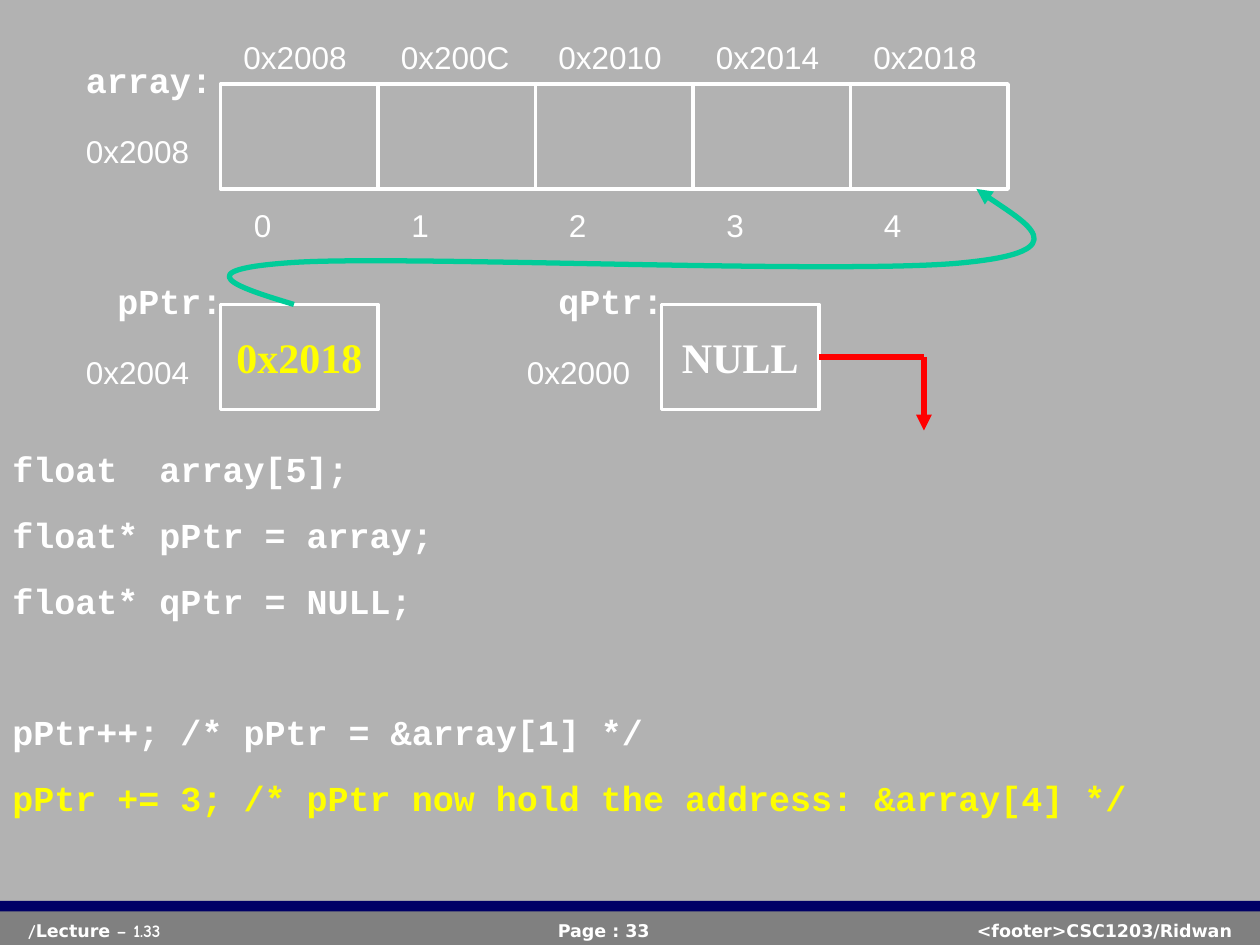
from dataclasses import dataclass
from lxml.etree import SubElement
from pptx import Presentation
from pptx.dml.color import RGBColor as RGB
from pptx.enum.shapes import MSO_CONNECTOR as CONN, MSO_SHAPE as SHAPE
from pptx.enum.text import MSO_ANCHOR as ANCHOR, PP_ALIGN as ALIGN
from pptx.oxml.ns import qn
from pptx.util import Inches, Pt

COLS, ROWS = 120, 90
WIDTH, HEIGHT = Inches(10), Inches(7.5)
CELL_W, CELL_H = 15, 10
ARRAY_X, ARRAY_Y, POINTER_Y = 21, 8, 29


@dataclass(frozen=True)
class Theme:
    background: str = "B2B2B2"
    bar: str = "808080"
    stripe: str = "000066"
    text: str = "FFFFFF"
    highlight: str = "FFFF00"
    link: str = "00CC99"
    null: str = "FF0000"
    mono: str = "Courier New"
    sans: str = "Arial"
    serif: str = "Times New Roman"
    footer: str = "DejaVu Sans"
    footer_alt: str = "Comic Neue"
    code_size: int = 20
    label_size: int = 18
    value_size: int = 24
    footer_size: int = 10
    box_line: int = 2
    arrow_line: int = 3


T = Theme()


def gx(col):
    return int(WIDTH * col / COLS)


def gy(row):
    return int(HEIGHT * row / ROWS)


def grid(x, y, w, h):
    return gx(x), gy(y), gx(w), gy(h)


def style(run, font, size, color=T.text, bold=False):
    f = run.font
    f.name, f.size, f.bold = font, Pt(size), bold
    f.color.rgb = RGB.from_string(color)


def add_text(s, at, text, font, size, bold=False, align=ALIGN.LEFT):
    tf = s.shapes.add_textbox(*grid(*at)).text_frame
    tf.word_wrap = True
    p = tf.paragraphs[0]
    p.text, p.alignment = text, align
    style(p.runs[0], font, size, bold=bold)
    return tf


def add_label(s, x, y, text, w=13):
    add_text(s, (x, y, w, 4.8), text, T.sans, T.label_size)


def add_name(s, x, y, text, w=13):
    add_text(s, (x, y, w, 5.3), text, T.mono, T.code_size, True)


def add_bar(s, at, color):
    sp = s.shapes.add_shape(SHAPE.RECTANGLE, *grid(*at))
    sp.shadow.inherit = False
    sp.fill.solid()
    sp.fill.fore_color.rgb = RGB.from_string(color)
    sp.line.fill.background()


def add_cell(s, x, y, value="", color=T.text):
    sp = s.shapes.add_shape(SHAPE.RECTANGLE, *grid(x, y, CELL_W, CELL_H))
    sp.shadow.inherit = False
    sp.fill.background()
    set_line(sp, T.text, T.box_line)
    if value:
        tf = sp.text_frame
        tf.word_wrap, tf.vertical_anchor = False, ANCHOR.MIDDLE
        p = tf.paragraphs[0]
        p.text, p.alignment = value, ALIGN.CENTER
        style(p.runs[0], T.serif, T.value_size, color, True)
    return sp


def set_line(sp, color, width, arrow=False):
    sp.line.color.rgb = RGB.from_string(color)
    sp.line.width = Pt(width)
    if arrow:
        SubElement(sp.line._get_or_add_ln(), qn("a:tailEnd"), type="triangle")


def add_line(s, x1, y1, x2, y2, arrow=False):
    c = s.shapes.add_connector(CONN.STRAIGHT, gx(x1), gy(y1), gx(x2), gy(y2))
    set_line(c, T.null, T.arrow_line, arrow)
    SubElement(c._element.spPr, qn("a:effectLst"))
    return c


def add_curve(s, start, controls):
    points = [(gx(x), gy(y)) for x, y in controls]
    builder = s.shapes.build_freeform(gx(start[0]), gy(start[1]))
    builder.add_line_segments(points, close=False)
    sp = builder.convert_to_shape()
    sp.shadow.inherit = False
    sp.fill.background()
    set_line(sp, T.link, T.arrow_line, True)
    outline = next(sp._element.iter(qn("a:path")))
    segments = outline.findall(qn("a:lnTo"))
    for i in range(0, len(segments), 3):
        bezier = SubElement(outline, qn("a:cubicBezTo"))
        for segment in segments[i:i + 3]:
            bezier.append(segment[0])
            outline.remove(segment)


def add_array(s):
    addresses = ("0x2008", "0x200C", "0x2010", "0x2014", "0x2018")
    for i, address in enumerate(addresses):
        x = ARRAY_X + i * CELL_W
        add_cell(s, x, ARRAY_Y)
        add_label(s, x + 1, 3, address)
        add_label(s, x + 2, 19, str(i), w=4)
    add_name(s, 7, 5, "array:", w=16)
    add_label(s, 7, 12, "0x2008")


def add_pointer(s, x, name, address, value, color):
    add_name(s, x - 11, POINTER_Y - 3, name)
    add_label(s, x - 14, POINTER_Y + 4, address)
    return add_cell(s, x, POINTER_Y, value, color)


def add_code(s):
    lines = (
        ("float  array[5];", 0, T.text),
        ("float* pPtr = array;", 13.9, T.text),
        ("float* qPtr = NULL;", 13.9, T.text),
        ("pPtr++; /* pPtr = &array[1] */", 50.4, T.text),
        ("pPtr += 3; /* pPtr now hold the address: &array[4] */",
         13.9, T.highlight),
    )
    tf = add_text(s, (0, 42, COLS, 41.8), lines[0][0], T.mono, T.code_size, True)
    for text, gap, color in lines[1:]:
        p = tf.add_paragraph()
        p.text, p.space_before = text, Pt(gap)
        style(p.runs[0], T.mono, T.code_size, color, True)


def add_footer(s):
    add_bar(s, (0, 86.5, COLS, 3.5), T.bar)
    add_bar(s, (0, 85.8, COLS, 1), T.stripe)
    look = T.footer, T.footer_size, True
    tf = add_text(s, (1.5, 87, 29.5, 6), "/", T.footer_alt, T.footer_size, True)
    for text, font in (("Lecture", T.footer), (" – 1.33", T.footer_alt)):
        r = tf.paragraphs[0].add_run()
        r.text = text
        style(r, font, T.footer_size, bold=True)
    add_text(s, (45, 87, 25, 6), "Page : 33", *look, ALIGN.CENTER)
    add_text(s, (57.5, 87, 61, 6), "<footer>CSC1203/Ridwan", *look, ALIGN.RIGHT)


def main():
    prs = Presentation()
    prs.slide_width, prs.slide_height = WIDTH, HEIGHT
    s = prs.slides.add_slide(prs.slide_layouts[6])
    s.background.fill.solid()
    s.background.fill.fore_color.rgb = RGB.from_string(T.background)
    add_footer(s)
    add_code(s)
    add_array(s)
    add_pointer(s, 21, "pPtr:", "0x2004", "0x2018", T.highlight)
    null_cell = add_pointer(s, 63, "qPtr:", "0x2000", "NULL", T.text)
    add_curve(s, (28, 29), (
        (22.7, 27.4), (17.3, 25.7), (28, 25),
        (38.7, 24.3), (81.1, 26.2), (92, 25),
        (102.8, 23.9), (96.6, 20.6), (93, 18),
    ))
    add_line(s, 78, 34, 88, 34).begin_connect(null_cell, 3)
    add_line(s, 88, 34, 88, 41, arrow=True)
    prs.save("out.pptx")


if __name__ == "__main__":
    main()
